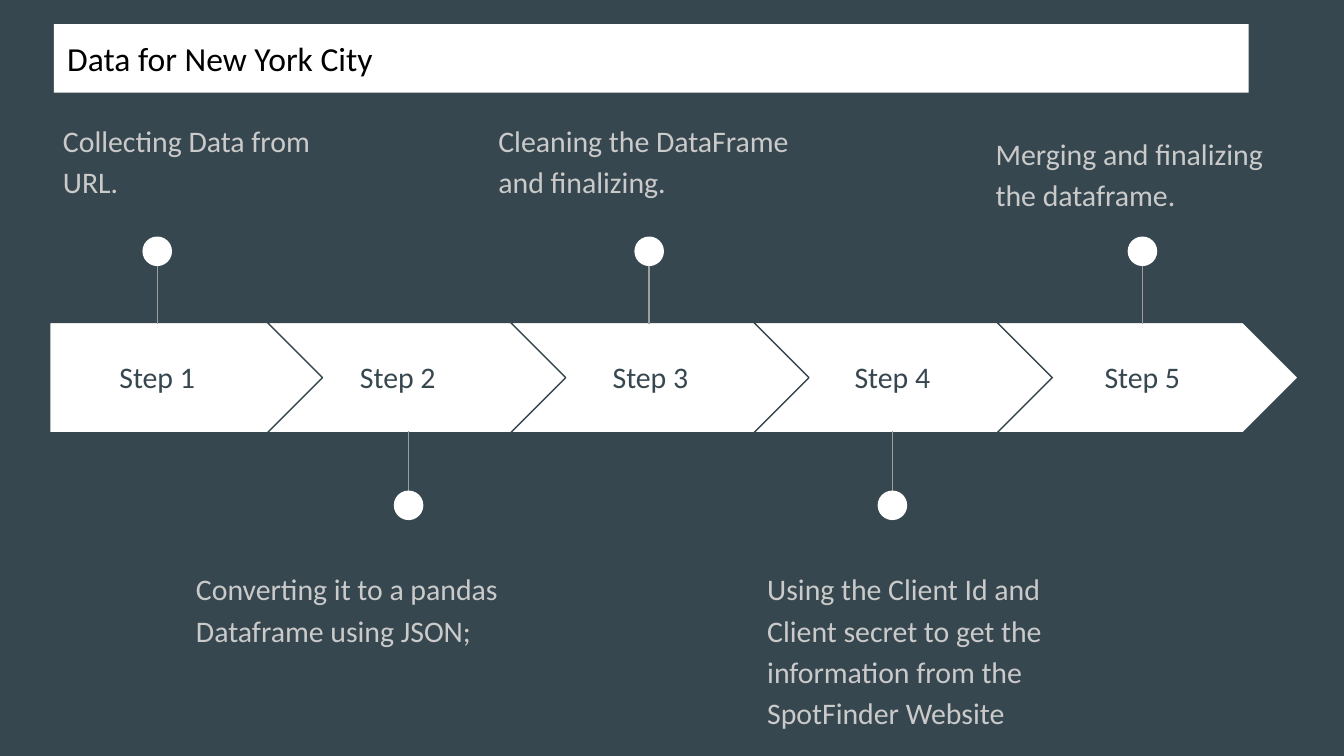
from dataclasses import dataclass

from lxml import etree
from pptx import Presentation
from pptx.dml.color import RGBColor
from pptx.enum.shapes import MSO_CONNECTOR, MSO_SHAPE
from pptx.enum.text import MSO_ANCHOR, MSO_AUTO_SIZE, PP_ALIGN
from pptx.oxml.ns import qn
from pptx.util import Inches, Pt

SLATE = RGBColor(0x37, 0x47, 0x4F)
WHITE = RGBColor(0xFF, 0xFF, 0xFF)
BLACK = RGBColor(0x00, 0x00, 0x00)
GRAY = RGBColor(0x9E, 0x9E, 0x9E)
LIGHT_GRAY = RGBColor(0xCA, 0xCA, 0xCA)

PENTAGON, CHEVRON, OVAL = MSO_SHAPE.PENTAGON, MSO_SHAPE.CHEVRON, MSO_SHAPE.OVAL
STRAIGHT = MSO_CONNECTOR.STRAIGHT
LEFT, CENTER = PP_ALIGN.LEFT, PP_ALIGN.CENTER
TOP, MIDDLE = MSO_ANCHOR.TOP, MSO_ANCHOR.MIDDLE
NO_AUTOFIT = MSO_AUTO_SIZE.NONE

FONT = "Calibri"
ARROW_TOP, ARROW_HEIGHT = 2.4, 0.82
CHEVRON_LEFT, CHEVRON_WIDTH, CHEVRON_STEP = 1.99, 2.24, 1.81
LABEL_WIDTH = 1.44
DOT = 0.22


@dataclass
class Step:
    """One stage of the process, with its marker and description."""
    label_center: float
    pin_x: float
    note_left: float
    note_top: float
    note: str


STEPS = [
    Step(1.17, 1.17, 0.37, 0.77, "Collecting Data from URL."),
    Step(2.96, 3.04, 1.36, 4.11, "Converting it to a pandas Dataframe using JSON;"),
    Step(4.84, 4.83, 3.61, 0.77, "Cleaning the DataFrame and finalizing."),
    Step(6.64, 6.64, 5.61, 4.11, "Using the Client Id and Client secret to get the "
         "information from the SpotFinder Website"),
    Step(8.5, 8.5, 7.31, 0.87, "Merging and finalizing the dataframe."),
]


def fill_text(box, text, size, color, align=LEFT, anchor=TOP, spacing=1.0):
    """Write one formatted paragraph into a box."""
    frame = box.text_frame
    frame.word_wrap = True
    frame.auto_size = NO_AUTOFIT
    frame.vertical_anchor = anchor
    frame.margin_left = frame.margin_right = Inches(0.1)
    frame.margin_top = frame.margin_bottom = Inches(0.1)
    para = frame.paragraphs[0]
    para.alignment = align
    para.line_spacing = spacing
    para.space_before = Pt(0)
    span = para.add_run()
    span.text = text
    span.font.name = FONT
    span.font.size = Pt(size)
    span.font.color.rgb = color


def add_title(page, text):
    """Place the title on its white band."""
    title = page.shapes.title
    title.left, title.top = Inches(0.4), Inches(0.18)
    title.width, title.height = Inches(8.89), Inches(0.51)
    title.fill.solid()
    title.fill.fore_color.rgb = WHITE
    fill_text(title, text, 18, BLACK, anchor=MIDDLE)


def add_text(page, left, top, width, height, text, color, **layout):
    """Add a text box in the slide's body size."""
    box = page.shapes.add_textbox(Inches(left), Inches(top), Inches(width), Inches(height))
    fill_text(box, text, 16, color, **layout)


def add_white_shape(page, kind, left, top, width, height):
    """Add a flat white shape without an outline."""
    shape = page.shapes.add_shape(kind, Inches(left), Inches(top), Inches(width), Inches(height))
    shape.shadow.inherit = False
    shape.fill.solid()
    shape.fill.fore_color.rgb = WHITE
    shape.line.fill.background()
    return shape


def add_arrow(page, index):
    """Add the arrow of one step, the first with a flat back."""
    if index == 0:
        kind, left, width = PENTAGON, 0.37, 2.05
    else:
        kind, width = CHEVRON, CHEVRON_WIDTH
        left = CHEVRON_LEFT + CHEVRON_STEP * (index - 1)
    arrow = add_white_shape(page, kind, left, ARROW_TOP, width, ARROW_HEIGHT)
    arrow.adjustments[0] = 0.5
    arrow.line.color.rgb = SLATE
    arrow.line.width = Pt(0.75)


def add_pin(page, x, above):
    """Add a line ending in a dot, above or below the arrows."""
    start, end, center = (1.8, 2.41, 1.87) if above else (3.82, 3.21, 3.76)
    line = page.shapes.add_connector(STRAIGHT, Inches(x), Inches(start), Inches(x), Inches(end))
    line.line.color.rgb = GRAY
    line.line.width = Pt(0.75)
    etree.SubElement(line._element.spPr, qn("a:effectLst"))
    add_white_shape(page, OVAL, x - DOT / 2, center - DOT / 2, DOT, DOT)


def add_step(page, index, step):
    """Add the arrow, label, pin and description of one step."""
    add_arrow(page, index)
    add_text(page, step.label_center - LABEL_WIDTH / 2, 2.55, LABEL_WIDTH, 0.51,
             f"Step {index + 1}", SLATE, align=CENTER, anchor=MIDDLE)
    add_pin(page, step.pin_x, above=index % 2 == 0)
    add_text(page, step.note_left, step.note_top, 2.45, 0.99, step.note, LIGHT_GRAY, spacing=1.15)


def main():
    """Build the process slide and save it."""
    deck = Presentation()
    deck.slide_width = Inches(10)
    deck.slide_height = deck.slide_width * 9 // 16
    page = deck.slides.add_slide(deck.slide_layouts[5])
    page.background.fill.solid()
    page.background.fill.fore_color.rgb = SLATE
    add_title(page, "Data for New York City")
    for index, step in enumerate(STEPS):
        add_step(page, index, step)
    deck.save("out.pptx")


if __name__ == "__main__":
    main()
